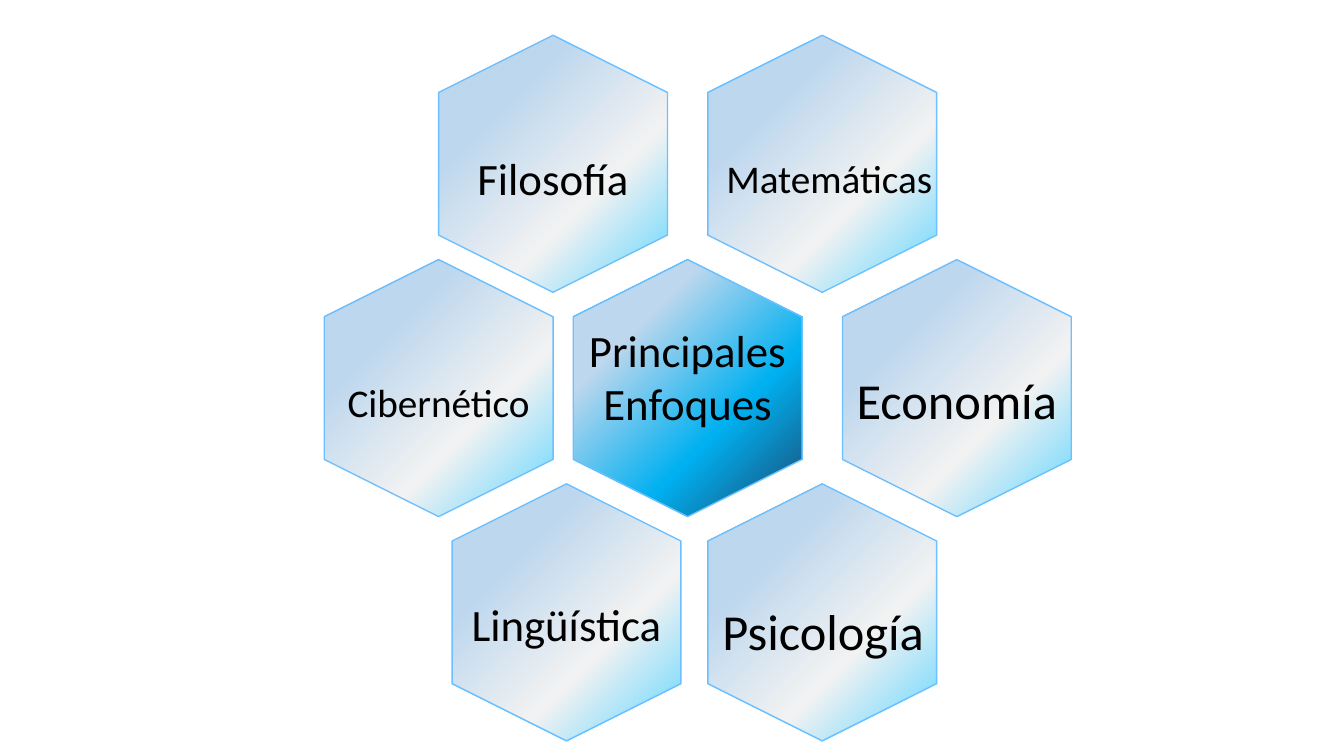
from lxml import etree
from pptx import Presentation
from pptx.dml.color import RGBColor
from pptx.enum.shapes import MSO_SHAPE
from pptx.enum.text import MSO_ANCHOR, PP_ALIGN
from pptx.oxml.ns import qn
from pptx.util import Inches, Pt

HEXAGON = MSO_SHAPE.HEXAGON
CENTER = PP_ALIGN.CENTER
MIDDLE = MSO_ANCHOR.MIDDLE

BLACK = RGBColor(0x00, 0x00, 0x00)
OUTLINE = RGBColor(0x6D, 0xC0, 0xFF)
PALE_BLUE = RGBColor(0xBD, 0xD7, 0xEE)
BLUE = RGBColor(0x00, 0xB0, 0xF0)
NAVY = RGBColor(0x1D, 0x48, 0x6F)
PALE_GREY = RGBColor(0xF2, 0xF2, 0xF2)
SKY = RGBColor(0x5D, 0xD5, 0xFF)

STOPS = (27, 65, 100)
CORE = (PALE_BLUE, BLUE, NAVY)
PETAL = (PALE_BLUE, PALE_GREY, SKY)

# Honeycomb grid: the middle cell is column 0, row 0
MID_X, MID_Y = 6.82, 3.85
COL, ROW = 1.335, 2.225
HEX_W, HEX_H = 2.55, 2.27

# lines, column, row, colours, text size, text shift right and down
CELLS = [
    (["Principales", "Enfoques"], 0, 0, CORE, 32, 0, -0.12),
    (["Economía"], 2, 0, PETAL, 36, 0, 0.11),
    (["Matemáticas"], 1, -1, PETAL, 28, 0.07, 0.14),
    (["Filosofía"], -1, -1, PETAL, 32, 0, 0.14),
    (["Cibernético"], -1.85, 0, PETAL, 28, 0, 0.14),
    (["Lingüística"], -0.9, 1, PETAL, 32, 0, 0.11),
    (["Psicología"], 1, 1, PETAL, 36, 0.01, 0.18),
]


def box_around(x, y, w, h):
    return [Inches(v) for v in (x - w / 2, y - h / 2, w, h)]


def fill_from_corner(sp, colours):
    """Fill with a circular gradient that starts in the top left corner."""
    sp.fill.gradient()
    grad = sp._element.spPr.find(qn("a:gradFill"))
    for child in list(grad):
        grad.remove(child)
    stops = etree.SubElement(grad, qn("a:gsLst"))
    for pos, colour in zip(STOPS, colours):
        gs = etree.SubElement(stops, qn("a:gs"), pos=str(pos * 1000))
        etree.SubElement(gs, qn("a:srgbClr"), val=str(colour))
    circle = etree.SubElement(grad, qn("a:path"), path="circle")
    etree.SubElement(circle, qn("a:fillToRect"), r="100000", b="100000")


def add_hexagon(s, x, y, colours):
    sp = s.shapes.add_shape(HEXAGON, *box_around(x, y, HEX_W, HEX_H))
    sp.rotation = 90
    sp.shadow.inherit = False
    fill_from_corner(sp, colours)
    sp.line.color.rgb = OUTLINE
    sp.line.width = Pt(1)


def add_label(s, x, y, lines, size):
    height = len(lines) * size * 1.2 / 72 + 0.1
    tf = s.shapes.add_textbox(*box_around(x, y, HEX_H, height)).text_frame
    tf.word_wrap = len(lines) > 1
    tf.vertical_anchor = MIDDLE
    for i, line in enumerate(lines):
        p = tf.add_paragraph() if i else tf.paragraphs[0]
        p.alignment = CENTER
        r = p.add_run()
        r.text = line
        for name, value in {"name": "Calibri", "size": Pt(size)}.items():
            setattr(r.font, name, value)
        r.font.color.rgb = BLACK


def main():
    prs = Presentation()
    prs.slide_width, prs.slide_height = Inches(13.33), Inches(7.5)
    s = prs.slides.add_slide(prs.slide_layouts[6])
    for _, col, row, colours, *_ in CELLS:
        add_hexagon(s, MID_X + col * COL, MID_Y + row * ROW, colours)
    for lines, col, row, _, size, dx, dy in CELLS:
        add_label(s, MID_X + col * COL + dx, MID_Y + row * ROW + dy, lines, size)
    prs.save("out.pptx")


if __name__ == "__main__":
    main()
